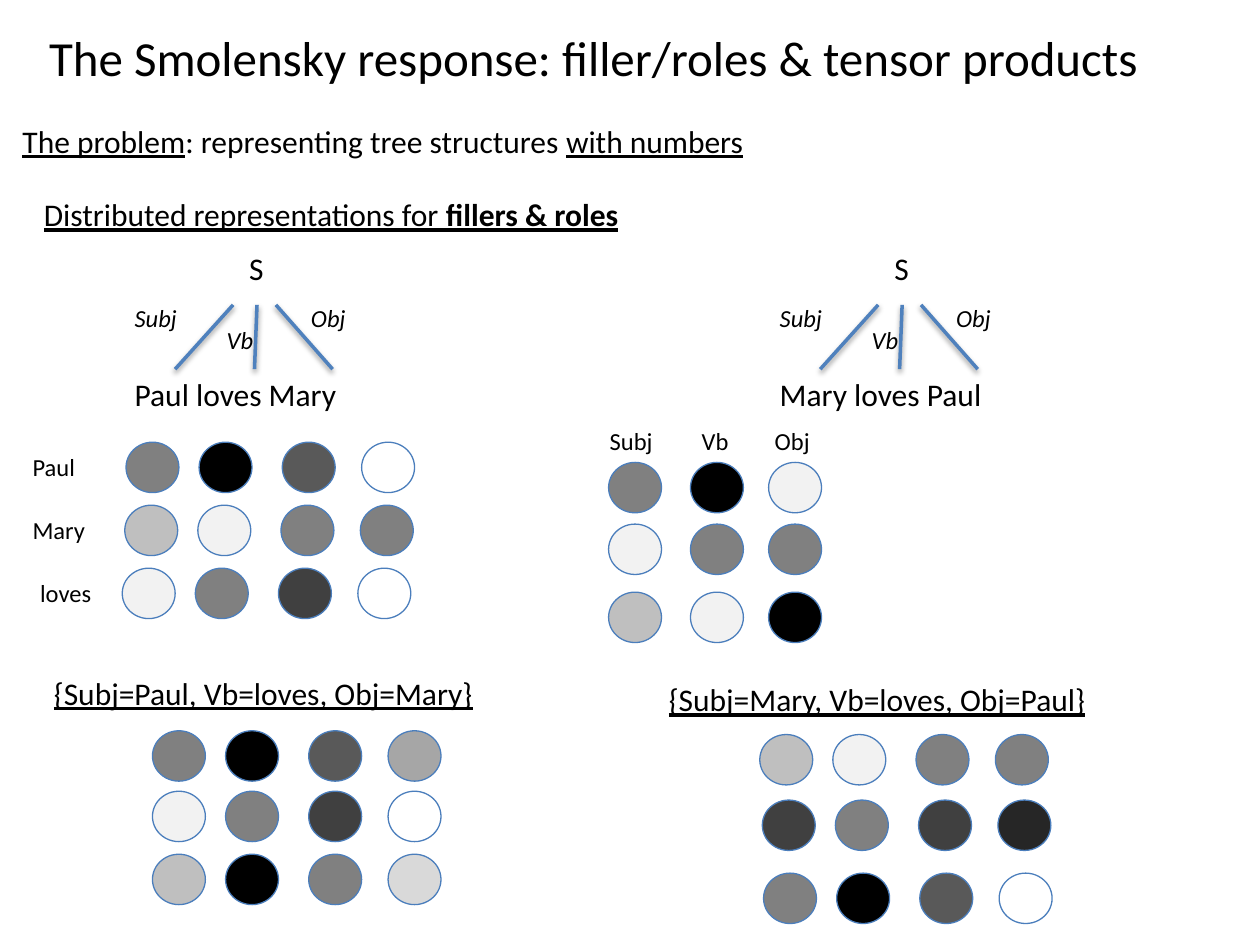
from lxml import etree
from pptx import Presentation
from pptx.dml.color import RGBColor
from pptx.enum.shapes import MSO_CONNECTOR, MSO_SHAPE
from pptx.enum.text import MSO_ANCHOR, MSO_AUTO_SIZE, PP_ALIGN
from pptx.oxml import parse_xml
from pptx.oxml.ns import nsdecls, qn
from pptx.util import Inches, Pt

ELLIPSE = MSO_SHAPE.OVAL
STRAIGHT = MSO_CONNECTOR.STRAIGHT
LEFT = PP_ALIGN.LEFT
TOP = MSO_ANCHOR.TOP
NO_FIT = MSO_AUTO_SIZE.NONE
GROW = MSO_AUTO_SIZE.SHAPE_TO_FIT_TEXT

FONT = "Calibri"
BLACK = RGBColor(0x00, 0x00, 0x00)
INK = RGBColor(0x26, 0x26, 0x26)
CHARCOAL = RGBColor(0x40, 0x40, 0x40)
DARK = RGBColor(0x59, 0x59, 0x59)
GRAY = RGBColor(0x80, 0x80, 0x80)
MEDIUM = RGBColor(0xA6, 0xA6, 0xA6)
SILVER = RGBColor(0xBF, 0xBF, 0xBF)
LIGHT = RGBColor(0xD9, 0xD9, 0xD9)
PALE = RGBColor(0xF2, 0xF2, 0xF2)
EMPTY = None
OUTLINE = RGBColor(0x4B, 0x7E, 0xBC)
BRANCH = RGBColor(0x4F, 0x81, 0xBD)

FOUR_COLS = (0, 0.58, 1.24, 1.87)
THREE_COLS = (0, 0.65, 1.27)
SHADOW = (
    f'<a:effectLst {nsdecls("a")}><a:outerShdw blurRad="{Pt(3.1)}" '
    f'dist="{Pt(1.6)}" dir="5400000" rotWithShape="0"><a:srgbClr val="000000">'
    '<a:alpha val="38000"/></a:srgbClr></a:outerShdw></a:effectLst>'
)

PAUL = (GRAY, BLACK, DARK, EMPTY)
MARY = (SILVER, PALE, GRAY, GRAY)
LOVES = (PALE, GRAY, CHARCOAL, EMPTY)
ROLES = ((GRAY, BLACK, PALE), (PALE, GRAY, GRAY), (SILVER, PALE, BLACK))
PAUL_LOVES_MARY = (
    (GRAY, BLACK, DARK, MEDIUM), LOVES, (SILVER, BLACK, GRAY, LIGHT))
MARY_LOVES_PAUL = (MARY, (CHARCOAL, GRAY, CHARCOAL, INK), PAUL)


def add_run(p, text, size, underline=False, italic=False, bold=False):
    """Append one formatted run to a paragraph."""
    r = p.add_run()
    r.text = text
    r.font.name = FONT
    r.font.size = Pt(size)
    r.font.color.rgb = BLACK
    r.font.underline = underline
    r.font.italic = italic
    r.font.bold = bold


def add_label(s, x, y, w, runs, size=14):
    """Place a one-line label made of (text, format) runs."""
    h = 0.4 if size == 18 else 0.34
    tf = s.shapes.add_textbox(Inches(x), Inches(y), Inches(w), Inches(h)).text_frame
    tf.word_wrap = False
    tf.auto_size = GROW
    for text, style in runs:
        add_run(tf.paragraphs[0], text, size, **style)


def add_title(s, text):
    """Fill the title placeholder, aligned left at the top."""
    sp = s.shapes.title
    sp.left, sp.top = Inches(0), Inches(0.17)
    sp.width, sp.height = Inches(10), Inches(1.17)
    tf = sp.text_frame
    tf.word_wrap = True
    tf.auto_size = NO_FIT
    tf.vertical_anchor = TOP
    tf.margin_left = Inches(0.39)
    p = tf.paragraphs[0]
    p.alignment = LEFT
    add_run(p, text, 28)


def add_branch(s, x1, y1, x2, y2):
    """Draw one shadowed tree branch."""
    c = s.shapes.add_connector(
        STRAIGHT, Inches(x1), Inches(y1), Inches(x2), Inches(y2))
    c.line.color.rgb = BRANCH
    c.line.width = Pt(2)
    c._element.find(qn("p:spPr")).append(parse_xml(SHADOW))


def add_tree(s, x, y, sentence):
    """Draw a sentence tree with its role labels."""
    add_label(s, x + 0.91, y, 0.37, [("S", {})], 18)
    for start, end in ((0.88, 0.42), (1.07, 1.05), (1.22, 1.67)):
        add_branch(s, x + start, y + 0.49, x + end, y + 1)
    for role, dx, dy, w in (("Subj", 0, 0.43, 0.64), ("Vb", 0.73, 0.6, 0.49),
                            ("Obj", 1.4, 0.43, 0.56)):
        add_label(s, x + dx, y + dy, w, [(role, {"italic": True})])
    add_label(s, x, y + 1, 2, [(sentence, {})], 18)


def add_circles(s, x, y, cols, colors):
    """Draw one vector as a row of shaded circles."""
    for dx, color in zip(cols, colors):
        sp = s.shapes.add_shape(
            ELLIPSE, Inches(x + dx), Inches(y), Inches(0.42), Inches(0.4))
        sp.shadow.inherit = False
        sp.line.color.rgb = OUTLINE
        sp.line.width = Pt(0.75)
        if color is None:
            sp.fill.background()
        else:
            sp.fill.solid()
            sp.fill.fore_color.rgb = color


def add_fillers(s, x, y):
    """Draw the named filler vectors."""
    rows = (("Paul", 0, 0.59, 0.84, PAUL), ("Mary", 0, 0.65, 0.83, MARY),
            ("loves", 0.06, 0.66, 0.81, LOVES))
    for i, (name, dx, w, circle_dx, colors) in enumerate(rows):
        top = y + 0.5 * i
        add_label(s, x + dx, top + 0.03, w, [(name, {})])
        add_circles(s, x + circle_dx, top, FOUR_COLS, colors)


def add_roles(s, x, y):
    """Draw the role vectors as columns under their names."""
    for name, dx, w in (("Subj", 0, 0.59), ("Vb", 0.73, 0.46), ("Obj", 1.31, 0.51)):
        add_label(s, x + dx, y, w, [(name, {})])
    for dy, colors in zip((0.34, 0.83, 1.37), ROLES):
        add_circles(s, x + 0.09, y + dy, THREE_COLS, colors)


def add_binding(s, x, y, w, heading, offsets, rows):
    """Draw a filler/role binding: a heading above its circle rows."""
    add_label(s, x, y, w, [(heading, {"underline": True})], 18)
    for (dx, dy), colors in zip(offsets, rows):
        add_circles(s, x + dx, y + dy, FOUR_COLS, colors)


def main():
    """Build and save the slide."""
    prs = Presentation()
    prs.slide_width, prs.slide_height = Inches(10), Inches(7.5)
    s = prs.slides.add_slide(prs.slide_layouts[5])
    under = {"underline": True}
    add_title(s, "The Smolensky response: filler/roles & tensor products")
    add_label(s, 0.08, 0.92, 6.42, [
        ("The problem", under), (": representing tree structures ", {}),
        ("with numbers", under)], 18)
    add_label(s, 0.25, 1.5, 5.25, [
        ("Distributed representations for ", under),
        ("fillers & roles", {"underline": True, "bold": True})], 18)
    add_tree(s, 0.97, 1.93, "Paul loves Mary")
    add_tree(s, 6.09, 1.93, "Mary loves Paul")
    add_fillers(s, 0.16, 3.51)
    add_roles(s, 4.74, 3.33)
    add_binding(s, 0.33, 5.3, 3.96, "{Subj=Paul, Vb=loves, Obj=Mary}",
                ((0.88, 0.5), (0.88, 0.98), (0.88, 1.48)), PAUL_LOVES_MARY)
    add_binding(s, 5.21, 5.35, 3.94, "{Subj=Mary, Vb=loves, Obj=Paul}",
                ((0.82, 0.48), (0.84, 1), (0.85, 1.58)), MARY_LOVES_PAUL)
    prs.save("out.pptx")


if __name__ == "__main__":
    main()
